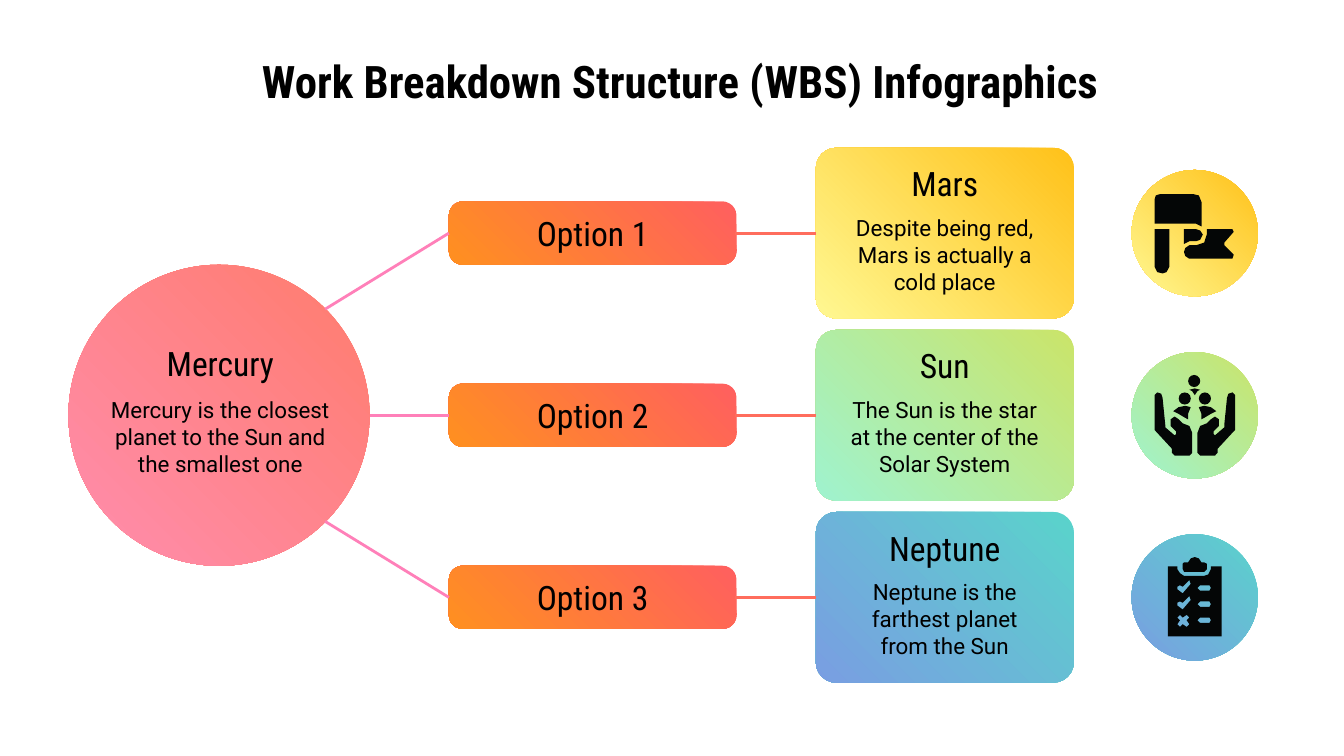
from lxml import etree
from pptx import Presentation
from pptx.dml.color import RGBColor
from pptx.enum.shapes import MSO_CONNECTOR, MSO_SHAPE
from pptx.enum.text import MSO_ANCHOR, MSO_AUTO_SIZE, PP_ALIGN
from pptx.oxml.ns import qn
from pptx.util import Inches, Pt

OVAL, ROUND = MSO_SHAPE.OVAL, MSO_SHAPE.ROUNDED_RECTANGLE
LINE = MSO_CONNECTOR.STRAIGHT
TOP, MIDDLE = MSO_ANCHOR.TOP, MSO_ANCHOR.MIDDLE
CENTER, FIXED = PP_ALIGN.CENTER, MSO_AUTO_SIZE.NONE

BLACK = RGBColor(0, 0, 0)
INK = RGBColor(0x04, 0x06, 0x06)
PINK = RGBColor(0xFF, 0x80, 0xB9)
CORAL = RGBColor(0xFF, 0x6D, 0x5D)
ROSE = RGBColor(0xFF, 0x7C, 0x6D), RGBColor(0xFF, 0x8D, 0xAD)
ORANGE = RGBColor(0xFF, 0x5F, 0x5F), RGBColor(0xFF, 0x90, 0x20)
YELLOW = RGBColor(0xFF, 0xC1, 0x19), RGBColor(0xFF, 0xF8, 0x92)
GREEN = RGBColor(0xCB, 0xE4, 0x69), RGBColor(0x9F, 0xF3, 0xCF)
BLUE = RGBColor(0x5A, 0xD3, 0xCB), RGBColor(0x79, 0x9E, 0xE2)

HEAD = {"size": Pt(18), "name": "Roboto Condensed"}
BODY = {"size": Pt(12), "name": "Roboto"}
MAIN = {"size": Pt(24), "name": "Roboto Condensed", "bold": True}

TITLE = "Work Breakdown Structure (WBS) Infographics"
ROOT = ("Mercury", "Mercury is the closest planet to the Sun and the smallest one")
ROWS = [
    ("Option 1", "Mars", "Despite being red, Mars is actually a cold place", YELLOW),
    ("Option 2", "Sun", "The Sun is the star at the center of the Solar System", GREEN),
    ("Option 3", "Neptune", "Neptune is the farthest planet from the Sun", BLUE),
]
MID, STEP, HUB = 3.09, 2.71 / 2, 8.89


def flip(pts):
    return [(-x, y) for x, y in pts]


def shift(pts, down):
    return [(x, y + down) for x, y in pts]


CLOTH = [(-30, -7), (-30, -25), (-29, -28), (-26, -29), (-1, -29), (3, -28),
         (5, -23), (5, -5), (1, -7)]
POLE = [(-30, -3), (-30, 25), (-28, 29), (-24, 30), (-21, 29), (-19, 25), (-19, -3)]
TAIL = [(9, -3), (9, 1), (7, 7), (1, 9), (-4, 9), (-7, 11), (-8, 14), (-7, 17),
        (-4, 19), (28, 19), (29, 16), (22, 9), (22, 7), (29, -1), (28, -3)]
FOLD = [(-8, -3), (-8, 8), (-4, 6), (1, 6), (4, 5), (6, 1), (4, -2), (1, -3)]

CHEST = [(0, -20), (-4, -19), (-2, -18), (0, -15), (2, -18), (4, -19)]
TORSO = [(-7, -7), (-12, -6), (-16, -3), (-12, -1), (-7, 2), (-5, 3), (-5, -1), (-3, -6)]
HAND = [(-28, -17), (-30, -15), (-30, 11), (-29, 12), (-17, 25), (-17, 28), (-15, 30),
        (-4, 30), (-2, 28), (-2, 13), (-4, 8), (-9, 6), (-12, 3), (-15, 1), (-18, 3),
        (-18, 8), (-14, 12), (-14, 14), (-15, 15), (-22, 9), (-22, 7), (-24, -13),
        (-25, -16)]
HEADS = [(0, -25), (-7, -12), (8, -12)]

BOARD = [(-20, -23), (-20, 29), (20, 29), (20, -23), (12, -23), (12, -21), (10, -17),
         (7, -16), (-8, -16), (-11, -18), (-13, -21), (-13, -23)]
CLIP = [(0, -30), (-3, -29), (-5, -26), (-8, -26), (-9, -25), (-9, -21), (-8, -19),
        (7, -19), (9, -21), (9, -25), (7, -26), (5, -26), (3, -29)]
TICK = [(-4, -13), (-9, -8), (-11, -9), (-13, -8), (-13, -6), (-9, -3), (-3, -10)]
CROSS = [(-11, 13), (-9, 15), (-6, 13), (-4, 15), (-6, 17), (-4, 20), (-6, 22),
         (-9, 20), (-11, 22), (-13, 20), (-11, 17), (-13, 15)]
DASH = [(4, -9), (11, -9), (12, -7), (11, -5), (4, -5), (2, -7)]
MARKS = [TICK, shift(TICK, 12), CROSS] + [shift(DASH, gap) for gap in (0, 12, 24)]

ICONS = [
    [[CLOTH], [POLE], [TAIL], [FOLD]],
    [[CHEST], [TORSO], [flip(TORSO)], [HAND], [flip(HAND)]],
    [[BOARD] + MARKS, [CLIP]],
]

deck = Presentation()
deck.slide_width = Inches(10)
deck.slide_height = deck.slide_width * 9 // 16
slide = deck.slides.add_slide(deck.slide_layouts[5])
shapes = slide.shapes


def box(*dims):
    return [Inches(dim) for dim in dims]


def write(item, text, look, anchor=TOP):
    frame = item.text_frame
    form = {"word_wrap": True, "auto_size": FIXED, "vertical_anchor": anchor}
    form.update({"margin_" + side: Inches(0.1) for side in ("left", "right", "top", "bottom")})
    for key, val in form.items():
        setattr(frame, key, val)
    para = frame.paragraphs[0]
    para.alignment = CENTER
    run = para.add_run()
    run.text = text
    for key, val in look.items():
        setattr(run.font, key, val)
    run.font.color.rgb = BLACK


def bare(item):
    item.shadow.inherit = False
    item.line.fill.background()


def blend(kind, mid, dims, tones, curve=None):
    left, width, height = dims
    item = shapes.add_shape(kind, *box(left, mid - height / 2, width, height))
    bare(item)
    item.fill.gradient()
    item.fill.gradient_angle = 225
    for stop, tone in zip(item.fill.gradient_stops, tones):
        stop.color.rgb = tone
    if curve:
        item.adjustments[0] = curve
    return item


def label(left, mid, width, gap, head, body):
    top = mid - gap
    write(shapes.add_textbox(*box(left, top, width, 0.44)), head, HEAD)
    write(shapes.add_textbox(*box(left, mid - 0.24, width, 0.78)), body, BODY)


def link(start, end, tone):
    item = shapes.add_connector(LINE, *box(*start, *end))
    item.line.color.rgb = tone
    item.line.width = Pt(1.5)
    etree.SubElement(item._element.spPr, qn("a:effectLst"))


def ink(item):
    bare(item)
    item.fill.solid()
    item.fill.fore_color.rgb = INK


def draw(loops, mid):
    pen = shapes.build_freeform(*loops[0][0], scale=Inches(0.01))
    for num, loop in enumerate(loops):
        if num:
            pen.move_to(*loop[0])
        pen.add_line_segments(loop[1:], close=True)
    ink(pen.convert_to_shape(*box(HUB, mid)))


title = shapes.title
title.left, title.top, title.width, title.height = box(0.4, 0.3, 9.32, 0.63)
write(title, TITLE, MAIN)

blend(OVAL, MID, (0.51, 2.24, 2.24), ROSE)
label(0.71, MID, 1.86, 0.64, *ROOT)

for num, (name, head, body, tones) in enumerate(ROWS):
    side = num - 1
    mid = MID + side * STEP
    option = blend(ROUND, mid, (3.34, 2.14, 0.47), ORANGE, 0.22)
    write(option, name, HEAD, MIDDLE)
    blend(ROUND, mid, (6.07, 1.92, 1.27), tones, 0.12)
    label(6.2, mid, 1.66, 0.62, head, body)
    blend(OVAL, mid, (HUB - 0.47, 0.94, 0.94), tones)
    link((2.42 if side else 2.75, MID + side * 0.79), (3.34, mid), PINK)
    link((5.47, mid), (6.07, mid), CORAL)
    for loops in ICONS[num]:
        draw(loops, mid)

for x, y in HEADS:
    ink(shapes.add_shape(OVAL, *box(HUB + x / 100 - 0.05, MID + y / 100 - 0.05, 0.09, 0.09)))

deck.save("out.pptx")
